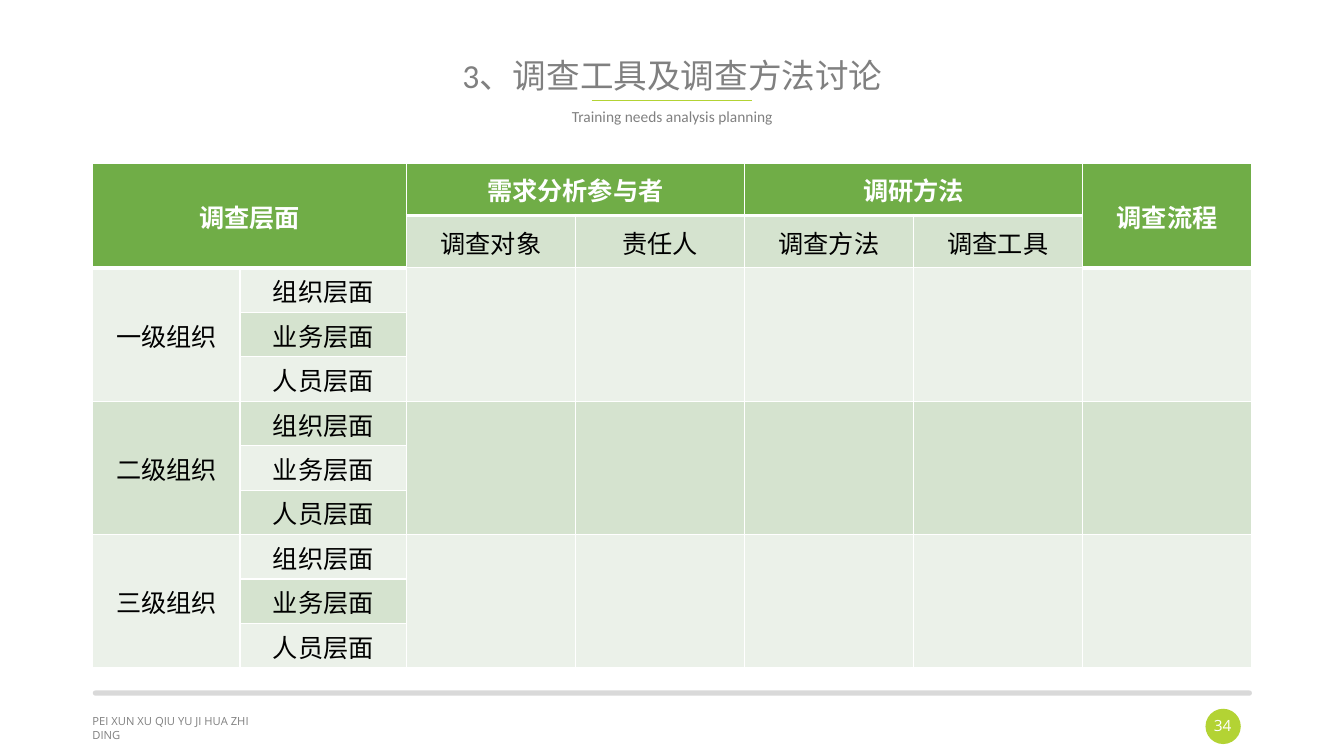
from dataclasses import dataclass

from lxml.etree import SubElement
from pptx import Presentation
from pptx.dml.color import RGBColor
from pptx.enum.shapes import MSO_CONNECTOR, MSO_SHAPE
from pptx.enum.text import MSO_ANCHOR, PP_ALIGN
from pptx.oxml.ns import qn
from pptx.util import Cm, Pt

COLORS = {
    "white": "FFFFFF", "black": "000000", "gray": "808080", "bar": "D9D9D9",
    "lime": "B3D334", "header": "70AD47", "dark": "D5E3CF", "light": "EBF1E9",
}
LEFT, WIDTH = 2.34, 29.21
COL_WIDTHS = [3.71, 4.19] + [4.26] * 5
ROW_HEIGHTS = [1.32] * 2 + [1.12] * 9
LEVELS = ["一级组织", "二级组织", "三级组织"]
ASPECTS = ["组织层面", "业务层面", "人员层面"]


@dataclass
class Entry:
    row: int
    col: int
    text: str = ""
    rows: int = 1
    cols: int = 1


@dataclass
class Block:
    kind: MSO_SHAPE
    left: float
    top: float
    width: float
    height: float
    color: str


def rgb(name: str) -> RGBColor:
    return RGBColor.from_string(COLORS[name])


def write(tf, text: str, *, size: float, color: str = "gray", font: str = "Calibri",
          bold: bool = False, align=PP_ALIGN.CENTER, spacing: float = 1.0) -> None:
    p = tf.paragraphs[0]
    p.alignment = align
    p.line_spacing = spacing
    r = p.add_run()
    r.text = text
    r.font.name, r.font.size, r.font.bold = font, Pt(size), bold
    r.font.color.rgb = rgb(color)


def add_text(slide, left: float, top: float, width: float, height: float,
             text: str, **style) -> None:
    tf = slide.shapes.add_textbox(Cm(left), Cm(top), Cm(width), Cm(height)).text_frame
    tf.word_wrap = True
    write(tf, text, **style)


def add_block(slide, block: Block) -> None:
    sp = slide.shapes.add_shape(block.kind, Cm(block.left), Cm(block.top),
                                Cm(block.width), Cm(block.height))
    sp.shadow.inherit = False
    sp.fill.solid()
    sp.fill.fore_color.rgb = rgb(block.color)
    sp.line.fill.background()
    if block.kind == MSO_SHAPE.ROUNDED_RECTANGLE:
        sp.adjustments[0] = 0.5


def header_depth(col: int) -> int:
    return 2 if col in (0, 1, 6) else 1


def format_cell(cell, row: int, col: int) -> None:
    depth = header_depth(col)
    widths = {"lnL": 1, "lnR": 1, "lnT": 3 if row == depth else 1,
              "lnB": 3 if row < depth else 1}
    tc_pr = cell._tc.get_or_add_tcPr()
    for tag, width in widths.items():
        ln = SubElement(tc_pr, qn(f"a:{tag}"), w=str(Pt(width)))
        fill = SubElement(ln, qn("a:solidFill"))
        SubElement(fill, qn("a:srgbClr"), val=COLORS["white"])
    cell.fill.solid()
    band = "dark" if row % 2 else "light"
    cell.fill.fore_color.rgb = rgb("header" if row < depth else band)
    cell.vertical_anchor = MSO_ANCHOR.MIDDLE
    cell.margin_left = cell.margin_right = cell.margin_top = Cm(0.03)
    cell.margin_bottom = 0


def table_entries() -> list[Entry]:
    entries = [
        Entry(0, 0, "调查层面", 2, 2), Entry(0, 2, "需求分析参与者", cols=2),
        Entry(0, 4, "调研方法", cols=2), Entry(0, 6, "调查流程", rows=2),
    ]
    subheads = ["调查对象", "责任人", "调查方法", "调查工具"]
    entries += [Entry(1, 2 + i, text) for i, text in enumerate(subheads)]
    for i, level in enumerate(LEVELS):
        row = 2 + i * len(ASPECTS)
        entries.append(Entry(row, 0, level, rows=3))
        entries += [Entry(row + j, 1, text) for j, text in enumerate(ASPECTS)]
        entries += [Entry(row, col, rows=3) for col in range(2, 7)]
    return entries


def add_survey_table(slide) -> None:
    table = slide.shapes.add_table(
        len(ROW_HEIGHTS), len(COL_WIDTHS), Cm(LEFT), Cm(4.11),
        Cm(sum(COL_WIDTHS)), Cm(sum(ROW_HEIGHTS))).table
    for column, width in zip(table.columns, COL_WIDTHS):
        column.width = Cm(width)
    for row, height in zip(table.rows, ROW_HEIGHTS):
        row.height = Cm(height)
    for row in range(len(ROW_HEIGHTS)):
        for col in range(len(COL_WIDTHS)):
            format_cell(table.cell(row, col), row, col)
    for e in table_entries():
        cell = table.cell(e.row, e.col)
        if e.rows * e.cols > 1:
            cell.merge(table.cell(e.row + e.rows - 1, e.col + e.cols - 1))
        if e.text:
            head = e.row < header_depth(e.col)
            write(cell.text_frame, e.text, size=18, bold=head,
                  color="white" if head else "black")


def main() -> None:
    prs = Presentation()
    prs.slide_width, prs.slide_height = Cm(33.87), Cm(19.05)
    slide = prs.slides.add_slide(prs.slide_layouts[5])

    # Footer bar and page badge
    add_block(slide, Block(MSO_SHAPE.ROUNDED_RECTANGLE, LEFT, 17.4, WIDTH, 0.13, "bar"))
    add_block(slide, Block(MSO_SHAPE.OVAL, 30.38, 17.86, 0.89, 0.89, "lime"))
    add_text(slide, 2.08, 17.88, 4.52, 0.61, "PEI XUN XU QIU YU JI HUA ZHI DING",
             size=8, font="Open Sans", align=PP_ALIGN.LEFT)
    add_text(slide, 30.33, 17.93, 0.97, 0.74, "34",
             size=11, font="Open Sans", color="white")

    # Rule under the title
    rule = slide.shapes.add_connector(MSO_CONNECTOR.STRAIGHT, Cm(14.91), Cm(2.52),
                                      Cm(18.95), Cm(2.52))
    rule.line.color.rgb = rgb("lime")
    rule.line.width = Pt(0.5)
    SubElement(rule._element.spPr, qn("a:effectLst"))

    # Survey table
    add_survey_table(slide)

    # Title and subtitle
    title = slide.shapes.title
    title.left, title.top, title.width, title.height = Cm(LEFT), Cm(0.86), Cm(WIDTH), Cm(2.18)
    title.text_frame.vertical_anchor = MSO_ANCHOR.MIDDLE
    write(title.text_frame, "3、调查工具及调查方法讨论", size=24, spacing=0.9)
    add_text(slide, LEFT, 2.62, WIDTH, 1.47, "Training needs analysis planning",
             size=11, spacing=0.9)

    prs.save("out.pptx")


if __name__ == "__main__":
    main()
